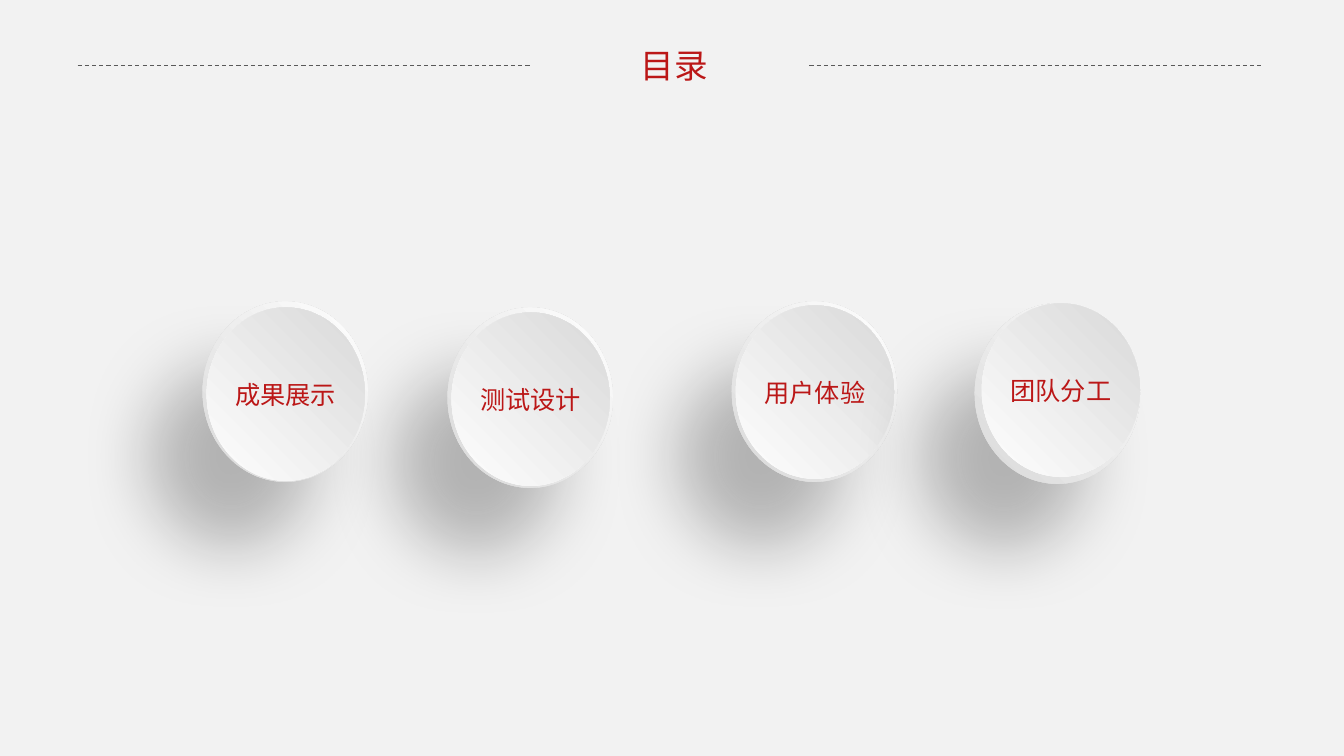
from dataclasses import dataclass

from lxml import etree
from pptx import Presentation
from pptx.dml.color import RGBColor
from pptx.enum.dml import MSO_LINE
from pptx.enum.shapes import MSO_CONNECTOR, MSO_SHAPE
from pptx.enum.text import MSO_ANCHOR, MSO_AUTO_SIZE, PP_ALIGN
from pptx.oxml import parse_xml
from pptx.oxml.ns import nsdecls, qn
from pptx.shapes.autoshape import Shape
from pptx.shapes.shapetree import GroupShapes
from pptx.slide import Slide
from pptx.util import Pt

DASH = MSO_LINE.DASH
STRAIGHT = MSO_CONNECTOR.STRAIGHT
ELLIPSE = MSO_SHAPE.OVAL
MIDDLE = MSO_ANCHOR.MIDDLE
CENTER = PP_ALIGN.CENTER
GROW = MSO_AUTO_SIZE.SHAPE_TO_FIT_TEXT

COLORS = {
    "background": "F2F2F2",
    "text": "BB1717",
    "rule": "595959",
    "white": "FFFFFF",
    "near_white": "FEFEFE",
    "gray": "D9D9D9",
    "shadow": "000000",
}
FONT = "Noto Sans CJK SC"
RIM_SIZE = (118.08, 128.88)
FACE_SIZE = (113.04, 123.84)
RULE_TOP = 46.8
RULE_LENGTH = 323.28
RULE_LEFTS = (55.44, 578.16)


@dataclass
class Button:
    label: str
    left: float
    top: float
    face_dx: float
    face_dy: float


# Back to front, so that each shadow falls on the right neighbour
BUTTONS = [
    Button("用户体验", 522.72, 215.28, 2.88, 2.88),
    Button("测试设计", 319.68, 219.6, 2.88, 3.6),
    Button("团队分工", 696.24, 216.72, 5.04, 0),
    Button("成果展示", 144.72, 215.28, 2.88, 4.32),
]


def color(name: str) -> RGBColor:
    return RGBColor.from_string(COLORS[name])


def write_text(box: Shape, text: str, size: float, frame_format: dict) -> None:
    frame = box.text_frame
    for name, value in frame_format.items():
        setattr(frame, name, value)
    para = frame.paragraphs[0]
    para.alignment = CENTER
    span = para.add_run()
    span.text = text
    for name, value in {"name": FONT, "size": Pt(size)}.items():
        setattr(span.font, name, value)
    span.font.color.rgb = color("text")
    # East Asian typeface
    properties = span.font._element
    etree.SubElement(properties, qn("a:ea"), typeface=FONT)


def add_disc(shapes: GroupShapes, left: float, top: float,
             size: tuple[float, float], stops: tuple[str, str]) -> Shape:
    disc = shapes.add_shape(ELLIPSE, Pt(left), Pt(top), *map(Pt, size))
    disc.shadow.inherit = False
    disc.line.fill.background()
    disc.fill.gradient()
    for stop, position, name in zip(disc.fill.gradient_stops, (0, 1), stops):
        stop.position = position
        stop.color.rgb = color(name)
    # Radial gradient from the top right corner
    linear = disc.element.spPr.find(f"{qn('a:gradFill')}/{qn('a:lin')}")
    radial = parse_xml(
        f'<a:path {nsdecls("a")} path="circle">'
        '<a:fillToRect l="100000" b="100000"/></a:path>')
    linear.getparent().replace(linear, radial)
    return disc


def add_soft_shadow(disc: Shape) -> None:
    shadow = parse_xml(
        f'<a:outerShdw {nsdecls("a")} blurRad="{Pt(50)}" dist="{Pt(60)}" '
        f'dir="{130 * 60000}" algn="ctr" rotWithShape="0">'
        f'<a:srgbClr val="{COLORS["shadow"]}"><a:alpha val="25000"/>'
        '</a:srgbClr></a:outerShdw>')
    disc.element.spPr.find(qn("a:effectLst")).append(shadow)


def add_button(page: Slide, button: Button) -> None:
    shapes = page.shapes.add_group_shape().shapes
    rim = add_disc(shapes, button.left, button.top, RIM_SIZE,
                   ("white", "gray"))
    add_soft_shadow(rim)
    face = add_disc(shapes, button.left + button.face_dx,
                    button.top + button.face_dy, FACE_SIZE,
                    ("gray", "near_white"))
    write_text(face, button.label, 18, {
        "word_wrap": True, "vertical_anchor": MIDDLE,
        "margin_left": 0, "margin_right": 0,
        "margin_top": Pt(3.6), "margin_bottom": Pt(3.6)})


def add_rule(page: Slide, left: float) -> None:
    rule = page.shapes.add_connector(
        STRAIGHT, Pt(left), Pt(RULE_TOP), Pt(left + RULE_LENGTH), Pt(RULE_TOP))
    for name, value in {"width": Pt(0.75), "dash_style": DASH}.items():
        setattr(rule.line, name, value)
    rule.line.color.rgb = color("rule")
    etree.SubElement(rule.element.spPr, qn("a:effectLst"))


def main() -> None:
    deck = Presentation()
    deck.slide_width, deck.slide_height = Pt(960), Pt(540)
    page = deck.slides.add_slide(deck.slide_layouts[6])
    page.background.fill.solid()
    page.background.fill.fore_color.rgb = color("background")

    # Title between two dashed rules
    title = page.shapes.add_textbox(Pt(450), Pt(28.8), Pt(63.36), Pt(36))
    write_text(title, "目录", 24, {"word_wrap": False, "auto_size": GROW})
    for left in RULE_LEFTS:
        add_rule(page, left)

    # Round buttons
    for button in BUTTONS:
        add_button(page, button)

    deck.save("out.pptx")


if __name__ == "__main__":
    main()
